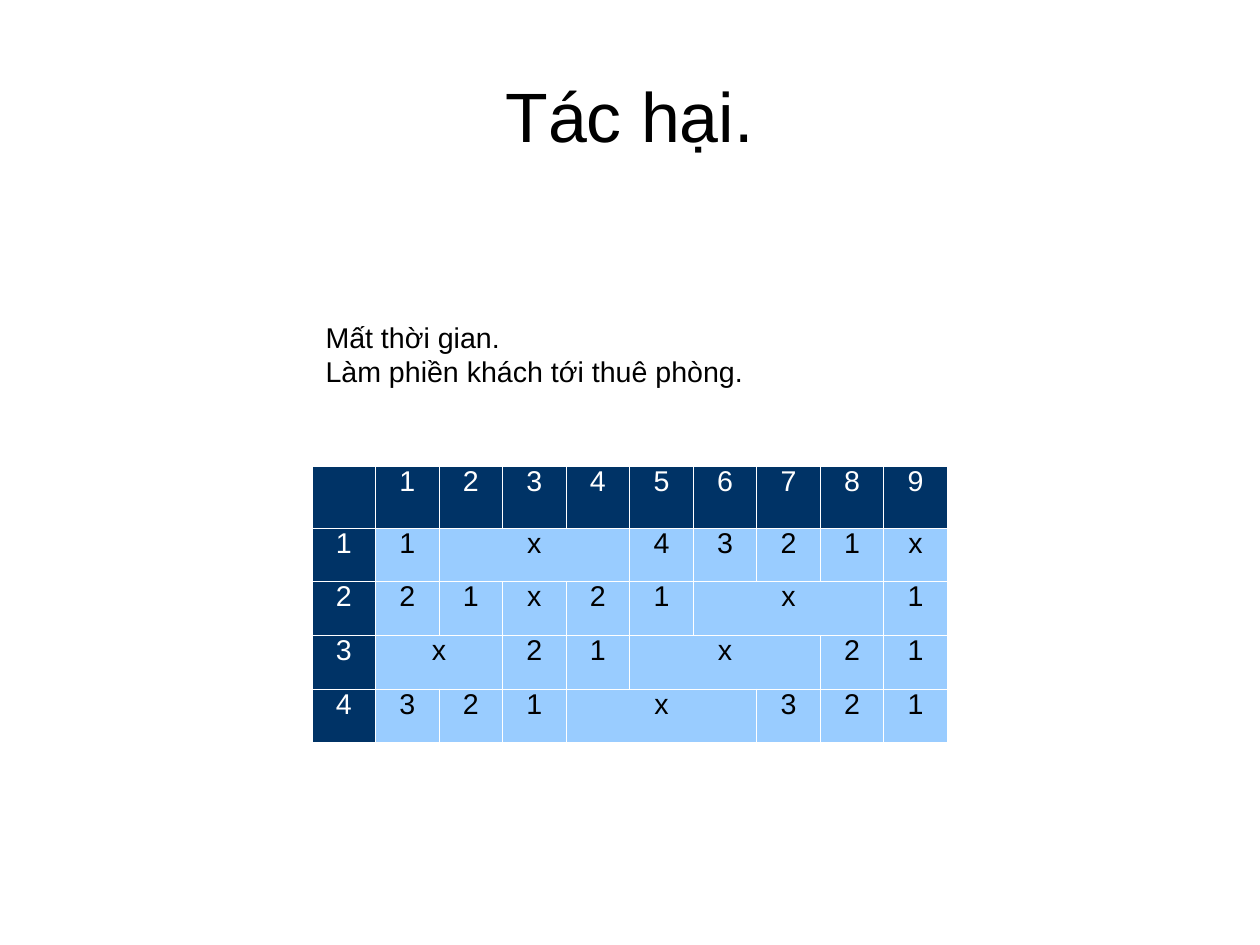
from dataclasses import dataclass

from lxml import etree
from pptx import Presentation
from pptx.dml.color import RGBColor
from pptx.enum.text import MSO_ANCHOR, PP_ALIGN
from pptx.oxml.ns import qn
from pptx.slide import Slide
from pptx.table import _Cell
from pptx.text.text import _Paragraph
from pptx.util import Inches, Pt

CENTER, LEFT = PP_ALIGN.CENTER, PP_ALIGN.LEFT
MIDDLE, TOP = MSO_ANCHOR.MIDDLE, MSO_ANCHOR.TOP
FONT = "Arial"
COLORS = {"text": "000000", "header": "003366", "body": "99CCFF", "light": "FFFFFF"}
POINTS_PER_INCH = 72
SLIDE_WIDTH = Inches(793.75 / POINTS_PER_INCH)
SLIDE_HEIGHT = Inches(595.25 / POINTS_PER_INCH)
TITLE_ONLY = 5
BODY_SIZE = 18
BORDER_WIDTH = Pt(0.57)
TABLE_WIDTH = 5.56
HEADER_HEIGHT, ROW_HEIGHT = 0.54, 0.47


@dataclass(frozen=True)
class Entry:
    text: str
    span: int = 1


def entries(values: str) -> list[Entry]:
    return [Entry(value) for value in values.split()]


HEADER = [Entry(""), *entries("1 2 3 4 5 6 7 8 9")]
SCHEDULE = [
    HEADER,
    [*entries("1 1"), Entry("x", 3), *entries("4 3 2 1 x")],
    [*entries("2 2 1 x 2 1"), Entry("x", 3), Entry("1")],
    [Entry("3"), Entry("x", 2), *entries("2 1"), Entry("x", 3), *entries("2 1")],
    [*entries("4 3 2 1"), Entry("x", 3), *entries("3 2 1")],
]
HARMS = ["Mất thời gian.", "Làm phiền khách tới thuê phòng."]


def write(paragraph: _Paragraph, text: str, size: float, color: str,
          align: PP_ALIGN = LEFT, spacing: float | None = None) -> None:
    paragraph.alignment = align
    paragraph.line_spacing = spacing
    paragraph.font.size = Pt(size)
    if text:
        run = paragraph.add_run()
        run.text = text
        run.font.name = FONT
        run.font.size = Pt(size)
        run.font.color.rgb = RGBColor.from_string(COLORS[color])


def style_cell(cell: _Cell, fill: str) -> None:
    """Give the cell its borders, then its fill, in schema order."""
    properties = cell._tc.get_or_add_tcPr()
    for side in ("lnL", "lnR", "lnT", "lnB"):
        line = etree.SubElement(properties, qn(f"a:{side}"), w=str(int(BORDER_WIDTH)))
        solid = etree.SubElement(line, qn("a:solidFill"))
        etree.SubElement(solid, qn("a:srgbClr"), val=COLORS["light"])
    cell.fill.solid()
    cell.fill.fore_color.rgb = RGBColor.from_string(COLORS[fill])
    cell.vertical_anchor = TOP


def add_title(slide: Slide) -> None:
    title = slide.shapes.title
    title.left, title.top = Inches(0.55), Inches(0.33)
    title.width, title.height = Inches(9.92), Inches(1.38)
    frame = title.text_frame
    frame.margin_left = frame.margin_right = frame.margin_bottom = 0
    frame.margin_top = Inches(0.04)
    frame.vertical_anchor = MIDDLE
    write(frame.paragraphs[0], "Tác hại.", 44, "text", CENTER, 0.93)


def add_schedule(slide: Slide) -> None:
    row_count, column_count = len(SCHEDULE), len(HEADER)
    height = HEADER_HEIGHT + (row_count - 1) * ROW_HEIGHT
    table = slide.shapes.add_table(
        row_count, column_count, Inches(2.73), Inches(4.08),
        Inches(TABLE_WIDTH), Inches(height)).table
    for column in table.columns:
        column.width = Inches(TABLE_WIDTH / column_count)
    for r, row_entries in enumerate(SCHEDULE):
        table.rows[r].height = Inches(ROW_HEIGHT if r else HEADER_HEIGHT)
        for c in range(column_count):
            style_cell(table.cell(r, c), "body" if r and c else "header")
        c = 0
        for entry in row_entries:
            cell = table.cell(r, c)
            if entry.span > 1:
                cell.merge(table.cell(r, c + entry.span - 1))
            write(cell.text_frame.paragraphs[0], entry.text, BODY_SIZE,
                  "text" if r and c else "light", CENTER, 0.76)
            c += entry.span


def add_harms(slide: Slide) -> None:
    frame = slide.shapes.add_textbox(
        Inches(2.75), Inches(2.75), Inches(5.84), Inches(0.94)).text_frame
    frame.word_wrap = True
    for i, harm in enumerate(HARMS):
        paragraph = frame.add_paragraph() if i else frame.paragraphs[0]
        write(paragraph, harm, BODY_SIZE, "text")


def main() -> None:
    presentation = Presentation()
    presentation.slide_width, presentation.slide_height = SLIDE_WIDTH, SLIDE_HEIGHT
    slide = presentation.slides.add_slide(presentation.slide_layouts[TITLE_ONLY])
    add_title(slide)
    add_schedule(slide)
    add_harms(slide)
    presentation.save("out.pptx")


if __name__ == "__main__":
    main()
